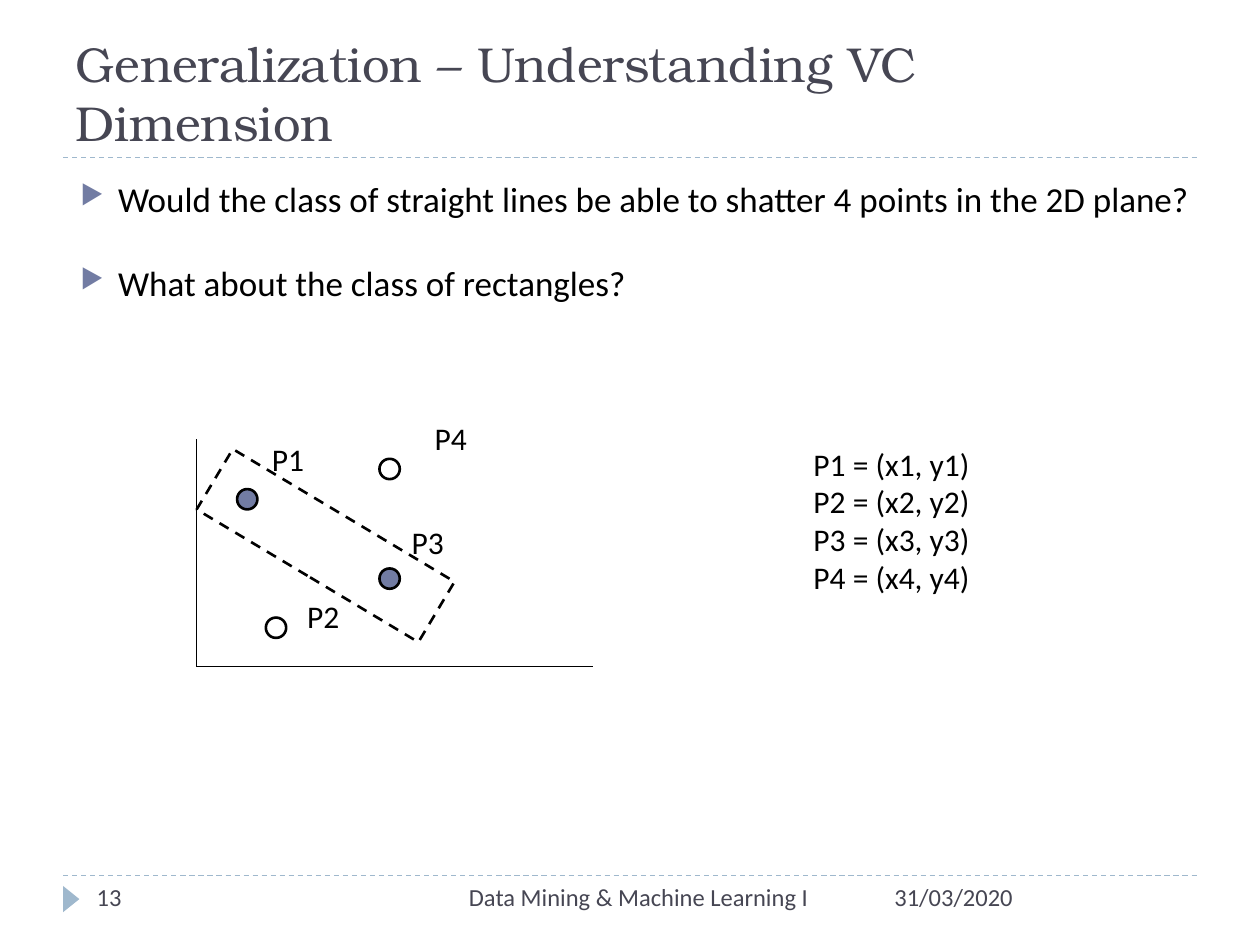
from lxml.etree import SubElement
from pptx import Presentation
from pptx.dml.color import RGBColor
from pptx.enum.dml import MSO_LINE_DASH_STYLE as Dash
from pptx.enum.shapes import MSO_CONNECTOR_TYPE as Connector, MSO_SHAPE as Shape
from pptx.enum.text import MSO_ANCHOR as Anchor, MSO_AUTO_SIZE as AutoSize, PP_ALIGN as Align
from pptx.oxml.ns import qn
from pptx.util import Cm, Pt

BLACK = RGBColor(0x00, 0x00, 0x00)
SLATE = RGBColor(0x46, 0x46, 0x53)
INDIGO = RGBColor(0x72, 0x7C, 0xA3)
PALE_BLUE = RGBColor(0x9F, 0xB8, 0xCD)

POINT_SIZE = 0.41
FOOTER_TOP = 17.65
POINTS = [
    ("P1", (4.78, 9.86), (5.23, 8.74), INDIGO),
    ("P2", (5.36, 12.45), (5.94, 11.91), None),
    ("P3", (7.65, 11.46), (8.05, 10.41), INDIGO),
    ("P4", (7.65, 9.25), (8.51, 8.33), None),
]
QUESTIONS = [
    "Would the class of straight lines be able to shatter 4 points in the 2D plane?",
    "What about the class of rectangles?",
]


def fill_text(box, lines, size=18, color=BLACK, font="Calibri", align=Align.LEFT, anchor=Anchor.TOP):
    frame = box.text_frame
    frame.word_wrap = True
    frame.auto_size = AutoSize.NONE
    frame.vertical_anchor = anchor
    for index, line in enumerate(lines):
        para = frame.add_paragraph() if index else frame.paragraphs[0]
        para.alignment = align
        span = para.add_run()
        span.text = line
        span.font.size = Pt(size)
        span.font.name = font
        span.font.color.rgb = color


def add_text(page, lines, left, top, width, height, **text_format):
    box = page.shapes.add_textbox(Cm(left), Cm(top), Cm(width), Cm(height))
    fill_text(box, lines, **text_format)
    return box


def add_bullet(para):
    para.space_before = Pt(24)
    properties = para._p.get_or_add_pPr()
    properties.set("marL", str(Cm(0.76)))
    properties.set("indent", str(-Cm(0.76)))
    color = SubElement(properties, qn("a:buClr"))
    SubElement(color, qn("a:srgbClr"), val=str(INDIGO))
    SubElement(properties, qn("a:buSzPct"), val="76000")
    SubElement(properties, qn("a:buChar"), char="▶")


def add_line(page, start, end, color=BLACK, dash=None):
    line = page.shapes.add_connector(Connector.STRAIGHT, *map(Cm, start + end))
    line.line.color.rgb = color
    line.line.width = Pt(0.75)
    if dash:
        line.line.dash_style = dash
    SubElement(line._element.spPr, qn("a:effectLst"))


def add_figure(page, kind, left, top, width, height, fill=None, line=BLACK, dash=None, rotation=0):
    figure = page.shapes.add_shape(kind, Cm(left), Cm(top), Cm(width), Cm(height))
    figure.shadow.inherit = False
    figure.rotation = rotation
    if fill:
        figure.fill.solid()
        figure.fill.fore_color.rgb = fill
    else:
        figure.fill.background()
    if line:
        figure.line.color.rgb = line
        figure.line.width = Pt(1.5)
        if dash:
            figure.line.dash_style = dash
    else:
        figure.line.fill.background()


def add_title(page, text):
    title = page.shapes.title
    title.left, title.top, title.width, title.height = map(Cm, (1.27, 0.43, 22.86, 2.74))
    fill_text(title, [text], size=28, color=SLATE, font="TeX Gyre Bonum", anchor=Anchor.BOTTOM)


def add_footer(page):
    add_figure(page, Shape.ISOSCELES_TRIANGLE, 1.17, 17.96, 0.53, 0.33,
               fill=PALE_BLUE, line=None, rotation=90)
    for text, left, width, align in [
        ("13", 1.7, 5.51, Align.LEFT),
        ("Data Mining & Machine Learning I", 8.05, 9.65, Align.CENTER),
        ("31/03/2020", 17.78, 6.35, Align.LEFT),
    ]:
        add_text(page, [text], left, FOOTER_TOP, width, 1.02, size=14, color=SLATE, align=align)


def add_plot(page):
    origin = (3.96, 13.44)
    for end in [(3.96, 8.84), (11.96, 13.44)]:
        add_line(page, origin, end)
    for name, place, label_place, fill in POINTS:
        add_figure(page, Shape.OVAL, *place, POINT_SIZE, POINT_SIZE, fill=fill)
        add_text(page, [name], *label_place, 1.55, 1.02)
    add_figure(page, Shape.RECTANGLE, 3.96, 10.29, 5.21, 1.42, dash=Dash.DASH, rotation=30.9)


def main():
    deck = Presentation()
    deck.slide_width, deck.slide_height = Cm(25.4), Cm(19.05)
    page = deck.slides.add_slide(deck.slide_layouts[5])
    for top in (3.18, FOOTER_TOP):
        add_line(page, (1.27, top), (24.13, top), color=PALE_BLUE, dash=Dash.DASH)
    add_title(page, "Generalization – Understanding VC Dimension")
    body = add_text(page, QUESTIONS, 1.37, 3.45, 23.04, 13.72, size=20)
    for para in body.text_frame.paragraphs:
        add_bullet(para)
    add_plot(page)
    coordinates = [f"P{number} = (x{number}, y{number})" for number in range(1, 5)]
    add_text(page, coordinates, 16.15, 8.84, 5.99, 3.33)
    add_footer(page)
    deck.save("out.pptx")


if __name__ == "__main__":
    main()
